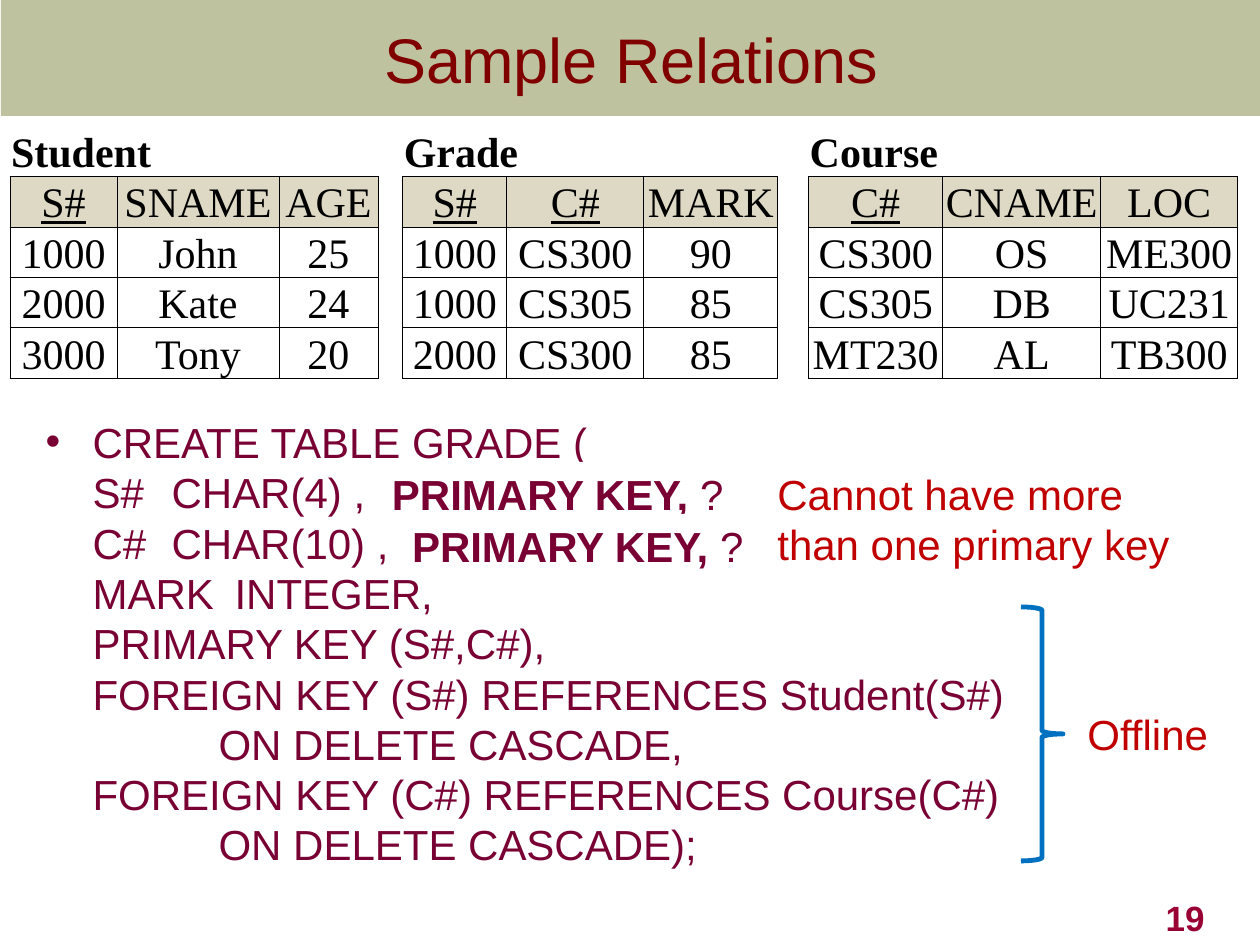
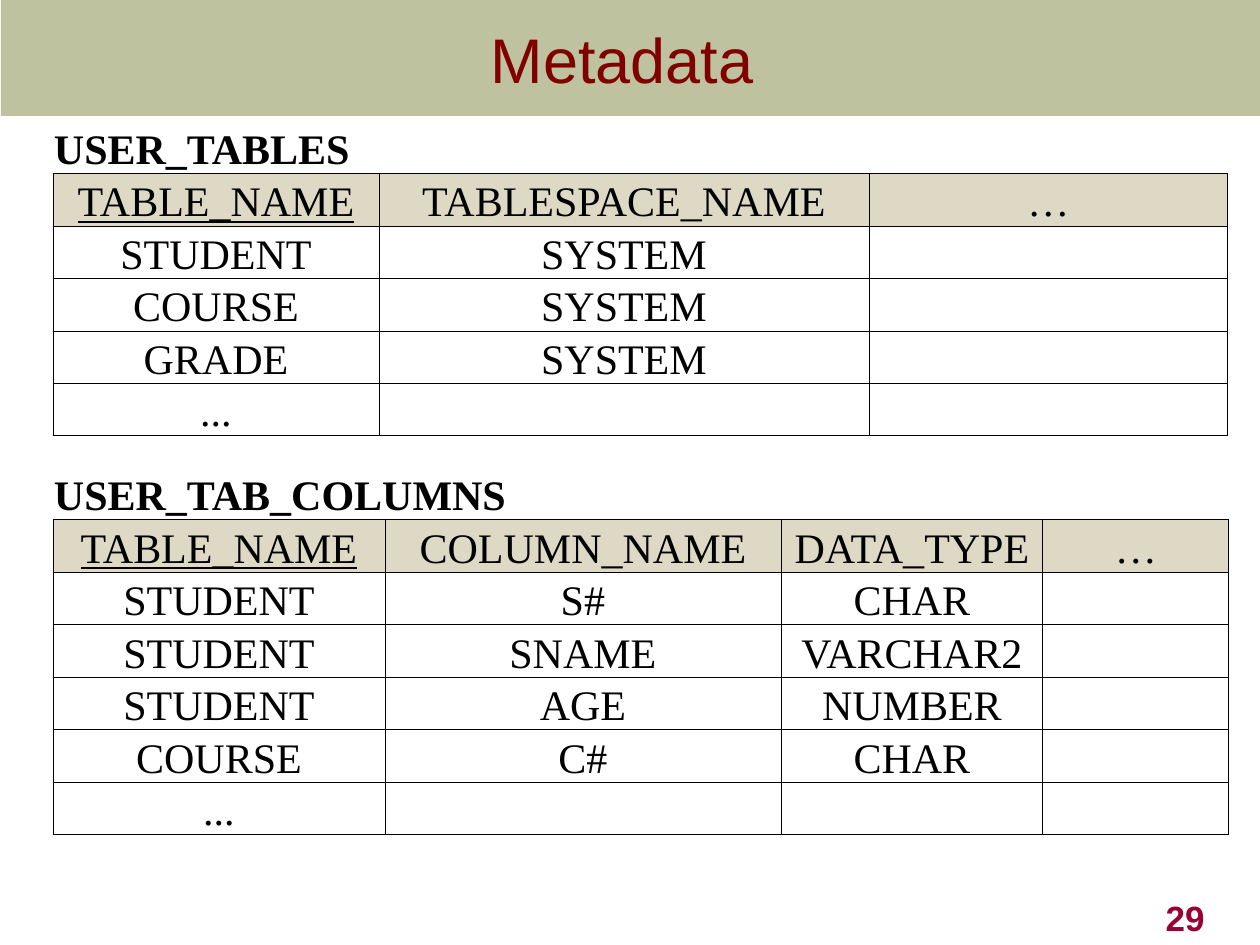
from lxml import etree
from pptx import Presentation
from pptx.dml.color import RGBColor
from pptx.enum.shapes import MSO_SHAPE
from pptx.enum.text import MSO_ANCHOR, MSO_AUTO_SIZE, PP_ALIGN
from pptx.oxml.ns import qn
from pptx.util import Pt

LEFT, CENTER, RIGHT = PP_ALIGN.LEFT, PP_ALIGN.CENTER, PP_ALIGN.RIGHT
TOP, MIDDLE, BOTTOM = MSO_ANCHOR.TOP, MSO_ANCHOR.MIDDLE, MSO_ANCHOR.BOTTOM
RECT, BRACE = MSO_SHAPE.RECTANGLE, MSO_SHAPE.RIGHT_BRACE
NO_FIT = MSO_AUTO_SIZE.NONE

OLIVE = RGBColor(0x6E, 0x75, 0x24)
MAROON = RGBColor(0x80, 0x00, 0x00)
PLUM = RGBColor(0x79, 0x00, 0x33)
CRIMSON = RGBColor(0x99, 0x00, 0x33)
RED = RGBColor(0xC0, 0x00, 0x00)
BLUE = RGBColor(0x00, 0x70, 0xC0)
SAND = RGBColor(0xDD, 0xD9, 0xC4)
WHITE = RGBColor(0xFF, 0xFF, 0xFF)
BLACK = RGBColor(0x00, 0x00, 0x00)

TITLE_BODY, TITLE_ONLY = 1, 5
MARGIN = 47  # where the code starts, right of the bullet

# Each block: title, header, number of key columns, rows
STUDENT = ("Student", ["S#", "SNAME", "AGE"], 1, [
    ["1000", "John", "25"], ["2000", "Kate", "24"], ["3000", "Tony", "20"]])
GRADE = ("Grade", ["S#", "C#", "MARK"], 2, [
    ["1000", "CS300", "90"], ["1000", "CS305", "85"], ["2000", "CS300", "85"]])
COURSE = ("Course", ["C#", "CNAME", "LOC"], 1, [
    ["CS300", "OS", "ME300"], ["CS305", "DB", "UC231"], ["MT230", "AL", "TB300"]])
TABLES = ("USER_TABLES", ["TABLE_NAME", "TABLESPACE_NAME", "…"], 1, [
    ["STUDENT", "SYSTEM", ""], ["COURSE", "SYSTEM", ""],
    ["GRADE", "SYSTEM", ""], ["...", "", ""]])
COLUMNS = ("USER_TAB_COLUMNS", ["TABLE_NAME", "COLUMN_NAME", "DATA_TYPE", "…"], 1, [
    ["STUDENT", "S#", "CHAR", ""], ["STUDENT", "SNAME", "VARCHAR2", ""],
    ["STUDENT", "AGE", "NUMBER", ""], ["COURSE", "C#", "CHAR", ""],
    ["...", "", "", ""]])

# Each code line: text, indent, tab stop
CODE = [
    ("CREATE TABLE GRADE (", MARGIN, None),
    ("S#\tCHAR(4) ,", MARGIN, 145),
    ("C#\tCHAR(10) ,", MARGIN, 147),
    ("MARK\tINTEGER,", MARGIN, 192),
    ("PRIMARY KEY (S#,C#),", MARGIN, None),
    ("FOREIGN KEY (S#) REFERENCES Student(S#)", MARGIN, None),
    ("ON DELETE CASCADE,", 173, None),
    ("FOREIGN KEY (C#) REFERENCES Course(C#)", MARGIN, None),
    ("ON DELETE CASCADE);", 173, None),
]


def px(n):
    return round(n * 914400 / 126)


def place(shape, left, top, width, height):
    shape.left, shape.top = px(left), px(top)
    shape.width, shape.height = px(width), px(height)


def write(frame, lines, size=24, color=BLACK, face="Arial", bold=False,
          under=False, align=LEFT, anchor=TOP):
    """Fill a frame; a line is a string or a list of (text, bold) runs."""
    frame.word_wrap = True
    frame.vertical_anchor = anchor
    for i, line in enumerate(lines):
        para = frame.add_paragraph() if i else frame.paragraphs[0]
        para.alignment = align
        for text, heavy in [(line, bold)] if isinstance(line, str) else line:
            run = para.add_run()
            run.text = text
            font = run.font
            font.size, font.name, font.bold = Pt(size), face, heavy
            font.underline = under
            font.color.rgb = color


def label(slide, box, lines, **fmt):
    shape = slide.shapes.add_textbox(*map(px, box))
    write(shape.text_frame, lines, **fmt)
    return shape


def band(slide, text, number):
    """Set the title on its translucent band, and the page number."""
    title = slide.shapes.title
    place(title, 1, 0, 1260, 116)
    title.fill.solid()
    title.fill.fore_color.rgb = OLIVE
    tint = title.fill._xPr.find(".//" + qn("a:srgbClr"))
    etree.SubElement(tint, qn("a:alpha"), val="44000")
    title.text_frame.auto_size = NO_FIT
    write(title.text_frame, [text], size=36, color=MAROON, align=CENTER,
          anchor=MIDDLE)
    label(slide, (955, 882, 262, 63), [str(number)], size=20, color=CRIMSON,
          bold=True, align=RIGHT, anchor=BOTTOM)


def edge(cell, sides):
    """Draw thin black borders on the named sides and none on the others."""
    props = cell._tc.get_or_add_tcPr()
    for side in "LRTB":
        line = etree.SubElement(props, qn("a:ln" + side), w=str(Pt(0.5)))
        if side in sides:
            fill = etree.SubElement(line, qn("a:solidFill"))
            etree.SubElement(fill, qn("a:srgbClr"), val=str(BLACK))
        else:
            etree.SubElement(line, qn("a:noFill"))


def fill(cell, text, sides, back=WHITE, **fmt):
    edge(cell, sides)
    cell.fill.solid()
    cell.fill.fore_color.rgb = back
    cell.margin_left = cell.margin_right = px(1)
    cell.margin_top = cell.margin_bottom = 0
    cell.vertical_anchor = BOTTOM
    if text:
        write(cell.text_frame, [text], face="Times New Roman", anchor=BOTTOM, **fmt)


def grid(slide, left, top, height, widths, blocks):
    """Put titled blocks side by side in one table, a gap column between."""
    count = len(blocks[0][3]) + 2
    table = slide.shapes.add_table(count, len(widths), px(left), px(top),
                                   px(sum(widths)), px(height)).table
    table.first_row = table.horz_banding = False
    for col, width in zip(table.columns, widths):
        col.width = px(width)
    for row in table.rows:
        row.height = px(height / count)
    start = 0
    for title, head, keys, rows in blocks:
        last = start + len(head) - 1
        for c, name in enumerate(head):
            col = start + c
            fill(table.cell(0, col), "" if c else title, "B", bold=True)
            fill(table.cell(1, col), name, "LRTB", SAND, under=c < keys,
                 align=CENTER)
            for r, row in enumerate(rows, 2):
                fill(table.cell(r, col), row[c], "LRTB", align=CENTER)
        table.cell(0, start).merge(table.cell(0, last))
        if last + 1 < len(widths):
            for r in range(count):
                fill(table.cell(r, last + 1), "", "LR" if r else "")
        start = last + 2


def listing(slide, lines):
    """Set the code in the body placeholder, with a bullet on the first line."""
    body = slide.placeholders[1]
    place(body, 33, 420, 1143, 483)
    frame = body.text_frame
    frame.auto_size = NO_FIT
    frame.margin_right = 0
    write(frame, [text for text, _, _ in lines], color=PLUM)
    for i, (para, (_, indent, stop)) in enumerate(zip(frame.paragraphs, lines)):
        para.line_spacing = 0.8
        para.space_before = Pt(5.7 if i else 0)
        props = para._p.get_or_add_pPr()
        props.set("marL", str(0 if i else px(indent)))
        props.set("indent", str(px(indent if i else -indent)))
        if i:
            etree.SubElement(props, qn("a:buNone"))
        else:
            etree.SubElement(props, qn("a:buChar"), char="•")
        if stop:
            tabs = etree.SubElement(props, qn("a:tabLst"))
            etree.SubElement(tabs, qn("a:tab"), pos=str(px(stop)), algn="l")


def patch(slide, left, top):
    """Lay a white box with the tried key clause over a code line."""
    box = slide.shapes.add_shape(RECT, *map(px, (left, top, 372, 63)))
    box.shadow.inherit = False
    box.fill.solid()
    box.fill.fore_color.rgb = WHITE
    box.line.fill.background()
    box.text_frame.margin_left = px(24)
    write(box.text_frame, [[("PRIMARY KEY, ", True), ("?", False)]], color=PLUM)


def brace(slide, box):
    shape = slide.shapes.add_shape(BRACE, *map(px, box))
    shape.shadow.inherit = False
    shape.fill.background()
    shape.line.color.rgb = BLUE
    shape.line.width = Pt(2.75)


def relations(deck):
    slide = deck.slides.add_slide(deck.slide_layouts[TITLE_BODY])
    band(slide, "Sample Relations", 19)
    listing(slide, CODE)
    grid(slide, 10, 126, 240,
         [107, 162, 99, 25, 104, 137, 134, 31, 134, 158, 137],
         [STUDENT, GRADE, COURSE])
    label(slide, (1075, 702, 159, 63), ["Offline"], color=RED)
    brace(slide, (1021, 607, 42, 254))
    patch(slide, 368, 462)
    patch(slide, 388, 514)
    label(slide, (765, 462, 422, 115),
          ["Cannot have more", "than one primary key"], color=RED)


def metadata(deck):
    slide = deck.slides.add_slide(deck.slide_layouts[TITLE_ONLY])
    band(slide, "Metadata ", 29)
    grid(slide, 53, 121, 315, [326, 490, 359], [TABLES])
    grid(slide, 53, 467, 368, [332, 396, 262, 186], [COLUMNS])


def main():
    deck = Presentation()
    deck.slide_width, deck.slide_height = px(1260), px(945)
    relations(deck)
    metadata(deck)
    deck.save("out.pptx")


if __name__ == "__main__":
    main()
